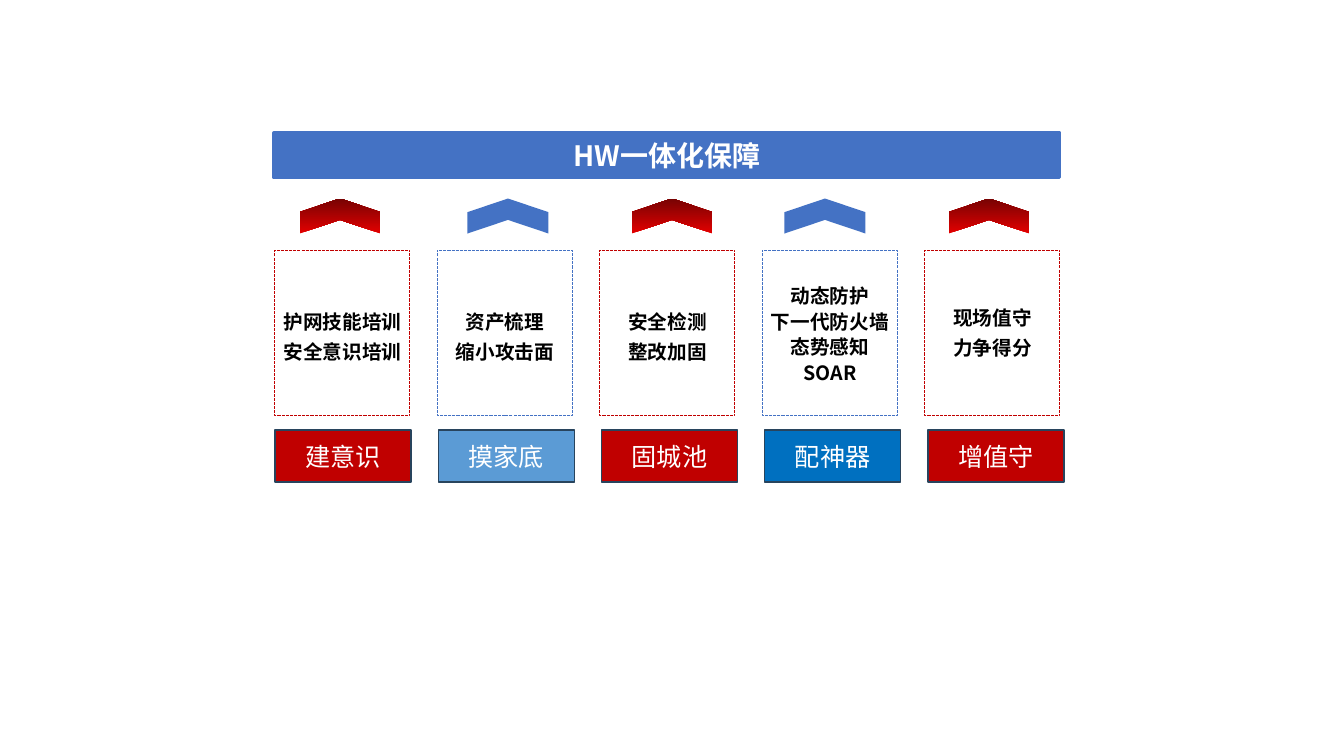
import pptx
import pptx.dml.color
import pptx.enum.dml
import pptx.enum.shapes
import pptx.enum.text
import pptx.oxml.ns
import pptx.util
import lxml.etree

EMU_PER_PX = 914400 / 100.8
RED, BLUE, WHITE, BLACK = "C00000", "4472C4", "FFFFFF", "000000"
LABEL_BORDER = "28445D"
CJK_FONT = "Noto Sans CJK SC"

# detail lines, main colour, label, label colour, arrow centre, text lift
PILLARS = [
    (["护网技能培训", "安全意识培训"], RED, "建意识", RED, 340, 0),
    (["资产梳理", "缩小攻击面"], BLUE, "摸家底", "5B9BD5", 508, 0),
    (["安全检测", "整改加固"], RED, "固城池", RED, 672, 0),
    (["动态防护", "下一代防火墙", "态势感知", "SOAR"], BLUE, "配神器", "0070C0", 825, 0),
    (["现场值守", "力争得分"], RED, "增值守", RED, 989, 4),
]


def px(length):
    return pptx.util.Emu(round(length * EMU_PER_PX))


def color(hex_string):
    return pptx.dml.color.RGBColor.from_string(hex_string)


def add_box(slide, box, fill=None, line=None, width=1, kind="RECTANGLE"):
    preset = getattr(pptx.enum.shapes.MSO_SHAPE, kind)
    shape = slide.shapes.add_shape(preset, *map(px, box))
    shape.shadow.inherit = False
    if fill:
        shape.fill.solid()
        shape.fill.fore_color.rgb = color(fill)
    else:
        shape.fill.background()
    if line:
        shape.line.color.rgb = color(line)
        shape.line.width = pptx.util.Pt(width)
    else:
        shape.line.fill.background()
    return shape


def write_text(shape, lines, size, hex_color=WHITE, font=CJK_FONT, bold=False,
               spacing=1.0, lift=0):
    """Centre the lines in the shape, raised by lift px."""
    frame = shape.text_frame
    frame.word_wrap = True
    frame.vertical_anchor = pptx.enum.text.MSO_ANCHOR.MIDDLE
    frame.margin_left = frame.margin_right = px(8)
    frame.margin_top, frame.margin_bottom = px(5), px(5 + 2 * lift)
    for index, line in enumerate(lines):
        paragraph = frame.add_paragraph() if index else frame.paragraphs[0]
        paragraph.alignment = pptx.enum.text.PP_ALIGN.CENTER
        paragraph.line_spacing = spacing
        run = paragraph.add_run()
        run.text = line
        run.font.size = pptx.util.Pt(size)
        run.font.bold = bold
        run.font.name = font
        run.font.color.rgb = color(hex_color)
        if font == CJK_FONT:
            east_asian = lxml.etree.SubElement(
                run.font._element, pptx.oxml.ns.qn("a:ea"))
            east_asian.set("typeface", font)


def add_banner(slide, box):
    banner = add_box(slide, box, fill=BLUE, line=BLUE, width=2.25)
    write_text(banner, ["HW一体化保障"], 20, bold=True)


def add_up_arrow(slide, center_x, center_y, hex_color):
    thickness, span = 35, 81
    box = (center_x - thickness / 2, center_y - span / 2, thickness, span)
    arrow = add_box(slide, box, fill=hex_color, kind="CHEVRON")
    arrow.adjustments[0] = 0.39
    arrow.rotation = 270
    if hex_color == RED:
        arrow.fill.gradient()
        arrow.fill.gradient_angle = 0
        for stop, shade in zip(arrow.fill.gradient_stops, ("E30000", "760303")):
            stop.color.rgb = color(shade)


def add_pillar(slide, left, top, label_left, pillar):
    lines, main_color, label, label_color, arrow_x, lift = pillar
    width = 135
    add_up_arrow(slide, arrow_x, top - 34, main_color)

    detail = add_box(slide, (left, top, width, 166), line=main_color, width=0.75)
    detail.line.dash_style = pptx.enum.dml.MSO_LINE.SQUARE_DOT
    write_text(detail, lines, 14, BLACK, bold=True,
               spacing=1.1 if len(lines) > 2 else 1.3, lift=lift)

    label_box = add_box(slide, (label_left, top + 180, width + 1, 52),
                        fill=label_color, line=LABEL_BORDER)
    write_text(label_box, [label], 18, font="Calibri")


def add_pillars(slide, left, top):
    for index, pillar in enumerate(PILLARS):
        add_pillar(slide, left + index * 162.5, top, left + index * 163.25, pillar)


def main():
    presentation = pptx.Presentation()
    presentation.slide_width, presentation.slide_height = px(1344), px(756)
    slide = presentation.slides.add_slide(presentation.slide_layouts[6])
    add_banner(slide, (274, 133, 786, 45))
    add_pillars(slide, 275, 250)
    presentation.save("out.pptx")


if __name__ == "__main__":
    main()
